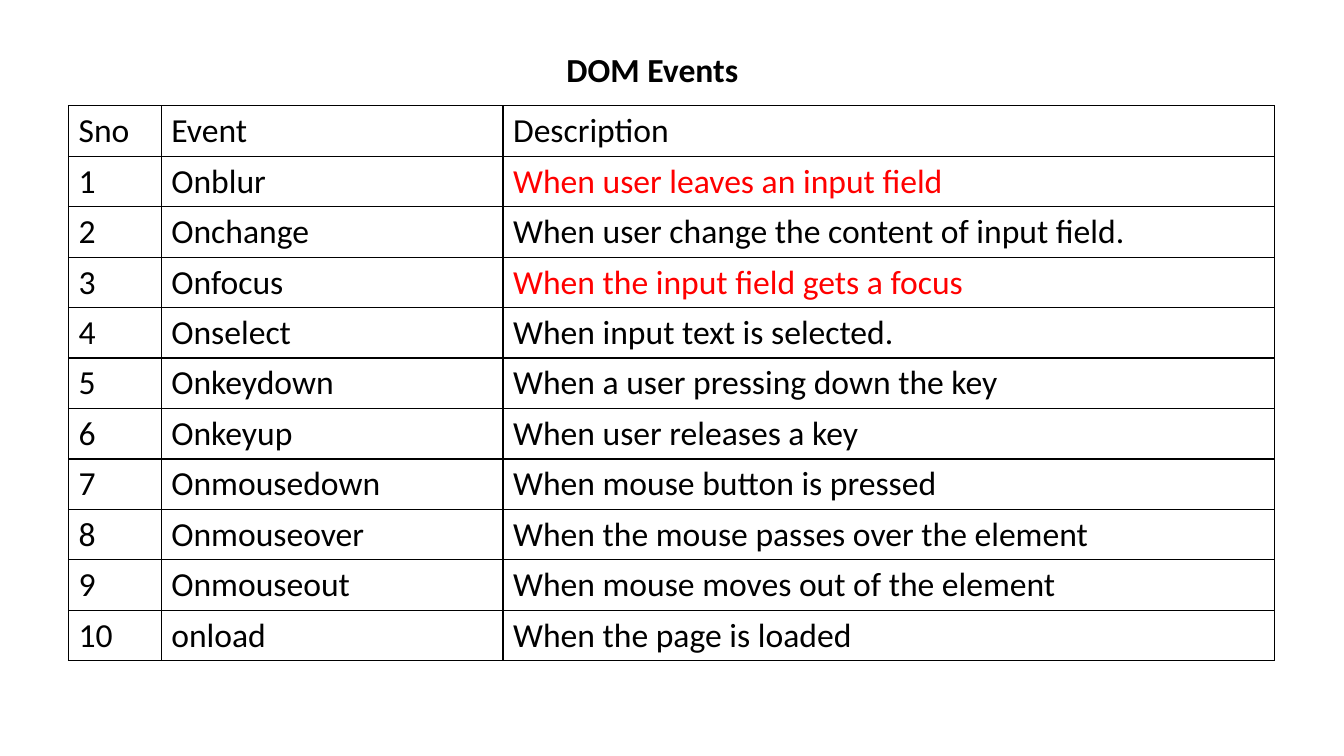
from dataclasses import dataclass

from lxml import etree
from pptx import Presentation
from pptx import util as u
from pptx.dml.color import RGBColor
from pptx.enum import text
from pptx.oxml.ns import qn


@dataclass(frozen=True)
class Theme:
    """Colours, font and sizes of the slide."""
    font: str = "Calibri"
    size: int = 24
    ink: str = "000000"
    accent: str = "FF0000"
    border: float = 1


THEME = Theme()
SLIDE_W, SLIDE_H = 13.33, 7.5
TITLE_BOX = (3.48, 0.44, 5.98, 0.5)
TABLE_BOX = (0.68, 1.05, 11.96, 5.5)
COLUMN_SHARES = (0.92, 3.39, 7.65)
HEADER = ("Sno", "Event", "Description")
EVENTS = (
    ("Onblur", "When user leaves an input field"),
    ("Onchange", "When user change the content of input field."),
    ("Onfocus", "When the input field gets a focus"),
    ("Onselect", "When input text is selected."),
    ("Onkeydown", "When a user pressing down the key"),
    ("Onkeyup", "When user releases a key"),
    ("Onmousedown", "When mouse button is pressed"),
    ("Onmouseover", "When the mouse passes over the element"),
    ("Onmouseout", "When mouse moves out of the element"),
    ("onload", "When the page is loaded"),
)
HIGHLIGHTED = {"Onblur", "Onfocus"}


def write(tf, content, color=THEME.ink, bold=False, align=text.PP_ALIGN.LEFT):
    """Put one formatted run of text into a text frame."""
    p = tf.paragraphs[0]
    p.alignment = align
    r = p.add_run()
    r.text = content
    r.font.name = THEME.font
    r.font.size = u.Pt(THEME.size)
    r.font.bold = bold
    r.font.color.rgb = RGBColor.from_string(color)


def outline(cell):
    """Draw a solid border on all four sides of a cell."""
    tc_pr = cell._tc.get_or_add_tcPr()
    for side in ("a:lnL", "a:lnR", "a:lnT", "a:lnB"):
        ln = etree.SubElement(tc_pr, qn(side), w=str(u.Pt(THEME.border)))
        fill = etree.SubElement(ln, qn("a:solidFill"))
        etree.SubElement(fill, qn("a:srgbClr"), val=THEME.ink)


def add_title(s, box, content):
    """Place the centred bold title in its box."""
    tf = s.shapes.add_textbox(*map(u.Inches, box)).text_frame
    tf.word_wrap = True
    tf.auto_size = text.MSO_AUTO_SIZE.SHAPE_TO_FIT_TEXT
    write(tf, content, bold=True, align=text.PP_ALIGN.CENTER)


def add_event_table(s, box, events):
    """Fill a box with the numbered table of events."""
    rows = [HEADER] + [(str(n), *event) for n, event in enumerate(events, 1)]
    frame = s.shapes.add_table(len(rows), len(HEADER), *map(u.Inches, box))
    table = frame.table
    table.first_row = table.horz_banding = False
    for column, share in zip(table.columns, COLUMN_SHARES):
        column.width = u.Inches(box[2] * share / sum(COLUMN_SHARES))
    for i, row in enumerate(rows):
        table.rows[i].height = u.Inches(box[3] / len(rows))
        for j, content in enumerate(row):
            cell = table.cell(i, j)
            marked = j == 2 and row[1] in HIGHLIGHTED
            write(cell.text_frame, content, color=THEME.accent if marked else THEME.ink)
            outline(cell)
            cell.fill.background()


def main():
    """Build and save the slide."""
    prs = Presentation()
    prs.slide_width, prs.slide_height = u.Inches(SLIDE_W), u.Inches(SLIDE_H)
    s = prs.slides.add_slide(prs.slide_layouts[6])
    add_title(s, TITLE_BOX, "DOM Events")
    add_event_table(s, TABLE_BOX, EVENTS)
    prs.save("out.pptx")


if __name__ == "__main__":
    main()
